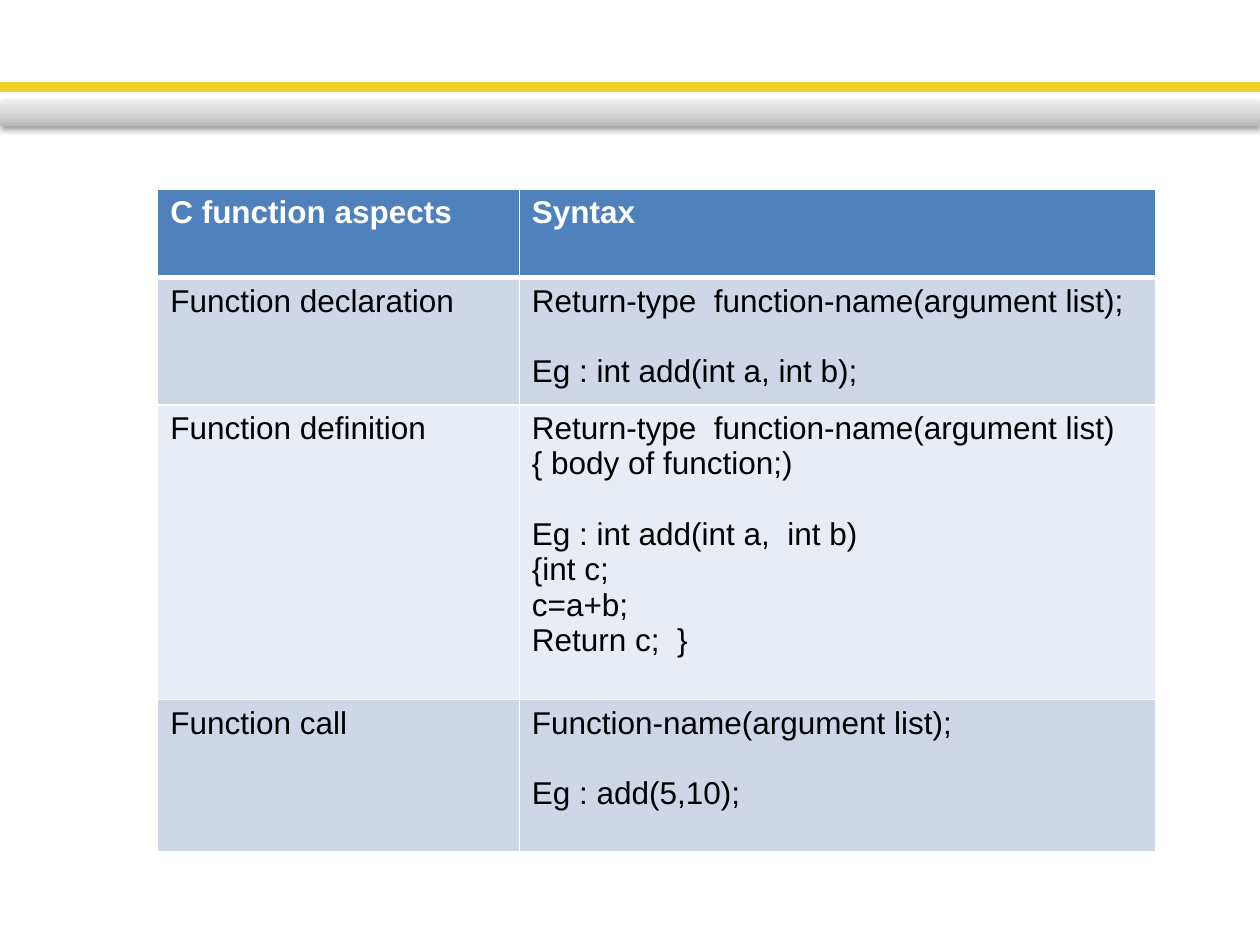
from lxml import etree
from pptx import Presentation
from pptx.dml.color import RGBColor
from pptx.enum.shapes import MSO_SHAPE
from pptx.oxml.ns import qn
from pptx.util import Cm, Pt

RECTANGLE = MSO_SHAPE.RECTANGLE
BLANK_LAYOUT = 6
COLORS = {
    "white": "FFFFFF",
    "black": "000000",
    "yellow": "EED126",
    "header": "4F81BD",
    "band_dark": "CFD7E7",
    "band_light": "E8ECF4",
}
BAR_STOPS = [(0, "BABABA"), (35, "CFCFCF"), (100, "EDEDED")]
ROWS = [
    (["C function aspects"], ["Syntax"]),
    (["Function declaration"],
     ["Return-type  function-name(argument list);", "", "Eg : int add(int a, int b);"]),
    (["Function definition"],
     ["Return-type  function-name(argument list)", "{ body of function;)", "",
      "Eg : int add(int a,  int b)", "{int c;", "c=a+b;", "Return c;  }"]),
    (["Function call"],
     ["Function-name(argument list);", "", "Eg : add(5,10);"]),
]
COLUMN_WIDTHS = [7.29, 12.83]
ROW_HEIGHTS = [1.78, 2.57, 5.94, 3.08]


def color(name):
    return RGBColor.from_string(COLORS[name])


def add_node(parent, tag, **attributes):
    return etree.SubElement(parent, qn(tag), {key: str(value) for key, value in attributes.items()})


class SlideBuilder:
    font = "Arial"
    size = Pt(18)
    line_gap = Pt(20.2)

    def __init__(self, page):
        self.page = page

    def bar(self, top, height):
        shape = self.page.shapes.add_shape(RECTANGLE, 0, Cm(top), Cm(25.4), Cm(height))
        shape.shadow.inherit = False
        return shape

    def solid_bar(self, top, height, fill):
        shape = self.bar(top, height)
        shape.fill.solid()
        shape.fill.fore_color.rgb = color(fill)
        shape.line.color.rgb = color(fill)
        shape.line.width = Pt(2)

    def gradient_bar(self, top, height, stops):
        shape = self.bar(top, height)
        shape.line.fill.background()
        shape.fill.gradient()
        shape.fill.gradient_angle = 90
        properties = shape._element.spPr
        stop_list = properties.find(".//" + qn("a:gsLst"))
        for stop in list(stop_list):
            stop_list.remove(stop)
        for position, value in stops:
            stop = add_node(stop_list, "a:gs", pos=position * 1000)
            add_node(stop, "a:srgbClr", val=value)
        shadow = add_node(properties.find(qn("a:effectLst")), "a:outerShdw",
                          blurRad=Pt(3.1), dist=Pt(1.6), dir=5400000, rotWithShape=0)
        shade = add_node(shadow, "a:srgbClr", val=COLORS["black"])
        add_node(shade, "a:alpha", val=38000)

    def borders(self, cell, bottom):
        properties = cell._tc.get_or_add_tcPr()
        widths = {"a:lnL": 1, "a:lnR": 1, "a:lnT": 1, "a:lnB": bottom}
        for index, (tag, width) in enumerate(widths.items()):
            line = etree.Element(qn(tag), w=str(Pt(width)))
            fill = add_node(line, "a:solidFill")
            add_node(fill, "a:srgbClr", val=COLORS["white"])
            properties.insert(index, line)

    def cell(self, cell, lines, fill, ink, bold):
        cell.fill.solid()
        cell.fill.fore_color.rgb = color(fill)
        self.borders(cell, 3 if bold else 1)
        frame = cell.text_frame
        paragraph = frame.paragraphs[0]
        for index, text in enumerate(lines):
            if not text:
                continue
            if index:
                paragraph = frame.add_paragraph()
                if not lines[index - 1]:
                    paragraph.space_before = self.line_gap
            span = paragraph.add_run()
            span.text = text
            span.font.name = self.font
            span.font.size = self.size
            span.font.bold = bold
            span.font.color.rgb = color(ink)

    def table(self, left, top, widths, heights, rows):
        table = self.page.shapes.add_table(len(rows), len(widths), Cm(left), Cm(top),
                                           Cm(sum(widths)), Cm(sum(heights))).table
        for column, width in zip(table.columns, widths):
            column.width = Cm(width)
        for number, (row, height, contents) in enumerate(zip(table.rows, heights, rows)):
            row.height = Cm(height)
            header = number == 0
            fill = "header" if header else "band_dark" if number % 2 else "band_light"
            for cell, lines in zip(row.cells, contents):
                self.cell(cell, lines, fill, "white" if header else "black", header)


deck = Presentation()
deck.slide_width, deck.slide_height = Cm(25.4), Cm(19.05)
builder = SlideBuilder(deck.slides.add_slide(deck.slide_layouts[BLANK_LAYOUT]))
builder.solid_bar(1.69, 0.13, "yellow")
builder.gradient_bar(2.03, 0.51, BAR_STOPS)
builder.table(3.18, 3.81, COLUMN_WIDTHS, ROW_HEIGHTS, ROWS)
deck.save("out.pptx")
